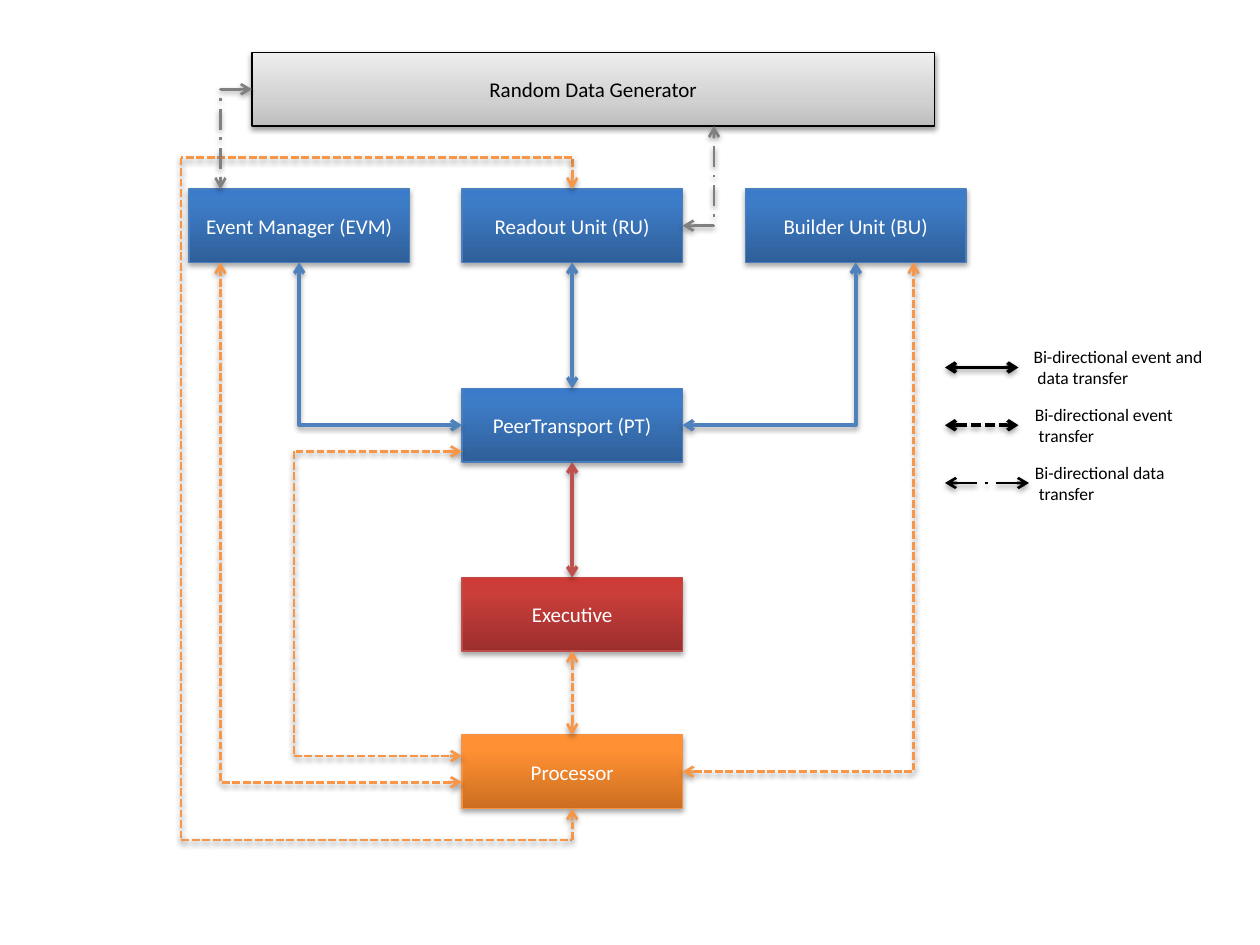
from copy import deepcopy
from dataclasses import dataclass

from lxml import etree
from pptx import Presentation
from pptx import util as u
from pptx.dml.color import RGBColor
from pptx.enum import dml, shapes, text
from pptx.oxml.ns import qn

PX = 9525  # EMU in one px, 96 px to the inch
FONT = "Calibri"
INK = {
    "black": "000000", "white": "FFFFFF", "gray": "808080",
    "blue": "4F81BD", "red": "C0504D", "orange": "F79646",
    "blue edge": "4B7EBC", "red edge": "BF4C48", "orange edge": "F69240",
}
# Gradient stops from bottom to top: place in percent, colour
FADE = {
    "blue": [(0, "2F5F99"), (80, "3D7CC7"), (100, "3A7CCB")],
    "red": [(0, "9C2F2D"), (80, "CB3E3A"), (100, "CE3B37")],
    "orange": [(0, "CC6E20"), (80, "FF9034"), (100, "FF9136")],
    "gray": [(0, "BDBDBD"), (35, "D1D1D1"), (100, "EEEEEE")],
}
DASH = {
    "event": dml.MSO_LINE.SQUARE_DOT,
    "data": dml.MSO_LINE.LONG_DASH_DOT,
}


@dataclass
class Box:
    label: str
    left: int
    top: int
    fade: str = "blue"
    edge: str = "blue edge"
    width: int = 168
    ink: str = "white"
    height: int = 56


@dataclass
class Wire:
    points: list[tuple[int, int]]
    ink: str
    kind: str = "both"
    weight: float = 2


@dataclass
class Key:
    lines: str
    left: int
    width: int
    wire: Wire


BOXES = [
    Box("Random Data Generator", 192, 40, "gray", "black", 520, "black"),
    Box("Event Manager (EVM)", 144, 144),
    Box("Readout Unit (RU)", 352, 144),
    Box("Builder Unit (BU)", 568, 144),
    Box("PeerTransport (PT)", 352, 296),
    Box("Executive", 352, 440, "red", "red edge"),
    Box("Processor", 352, 560, "orange", "orange edge"),
]

# Three points make an elbow: first across, then up or down
WIRES = [
    Wire([(352, 324), (228, 324), (228, 200)], "blue"),
    Wire([(436, 200), (436, 296)], "blue"),
    Wire([(520, 324), (652, 324), (652, 200)], "blue"),
    Wire([(436, 352), (436, 440)], "red"),
    Wire([(352, 596), (168, 596), (168, 200)], "orange", "event", 1.5),
    Wire([(520, 588), (696, 588), (696, 200)], "orange", "event", 1.5),
    Wire([(436, 144), (436, 120), (138, 120), (138, 640), (436, 640),
          (436, 616)], "orange", "event", 1.5),
    Wire([(436, 496), (436, 560)], "orange", "event", 1.5),
    Wire([(352, 344), (224, 344), (224, 576), (352, 576)],
         "orange", "event", 1.5),
    Wire([(192, 68), (168, 68), (168, 144)], "gray", "data", 1.5),
    Wire([(520, 172), (544, 172), (544, 96)], "gray", "data", 1.5),
]

KEYS = [
    Key("Bi-directional event and\n data transfer", 778, 150,
        Wire([(720, 280), (776, 280)], "black")),
    Key("Bi-directional event\n transfer", 779, 127,
        Wire([(720, 324), (776, 324)], "black", "event")),
    Key("Bi-directional data\n transfer", 779, 120,
        Wire([(720, 368), (784, 368)], "black", "data", 1.5)),
]


def rgb(ink: str) -> RGBColor:
    return RGBColor.from_string(INK[ink])


def px(*sizes: int) -> list[int]:
    return [size * PX for size in sizes]


def cast(props, alpha: int = 38, drop: int = 20000) -> None:
    """Drop a soft shadow straight down."""
    list_ = props.find(qn("a:effectLst"))
    if list_ is None:
        list_ = etree.SubElement(props, qn("a:effectLst"))
    shade = etree.SubElement(list_, qn("a:outerShdw"), blurRad="40000",
                             dist=str(drop), dir="5400000", rotWithShape="0")
    tone = etree.SubElement(shade, qn("a:srgbClr"), val=INK["black"])
    etree.SubElement(tone, qn("a:alpha"), val=str(alpha * 1000))


def write(para, label: str, size: int, ink: str) -> None:
    para.text = label
    para.font.name = FONT
    para.font.size = u.Pt(size)
    para.font.color.rgb = rgb(ink)


def draw_box(slide, box: Box) -> None:
    shape = slide.shapes.add_shape(
        shapes.MSO_SHAPE.FLOWCHART_PROCESS,
        *px(box.left, box.top, box.width, box.height))
    # Three stops, dark end at the bottom
    fill = shape.fill
    fill.gradient()
    fill.gradient_angle = 90
    props = shape.element.spPr
    stops = props.find(qn("a:gradFill")).find(qn("a:gsLst"))
    stops.append(deepcopy(stops[0]))
    for stop, (place, tone) in zip(fill.gradient_stops, FADE[box.fade]):
        stop.position = place / 100
        stop.color.rgb = RGBColor.from_string(tone)
    shape.line.color.rgb = rgb(box.edge)
    shape.line.width = u.Pt(0.75)
    shape.shadow.inherit = False
    if box.fade == "gray":
        cast(props)
    else:
        cast(props, 35, 23000)
    frame = shape.text_frame
    frame.vertical_anchor = text.MSO_ANCHOR.MIDDLE
    para = frame.paragraphs[0]
    para.alignment = text.PP_ALIGN.CENTER
    write(para, box.label, 12, box.ink)


def draw_leg(pen, wire: Wire, start: tuple[int, int], end: tuple[int, int],
             heads: list[str], bent: bool = False) -> None:
    kind = shapes.MSO_CONNECTOR.ELBOW if bent else shapes.MSO_CONNECTOR.STRAIGHT
    leg = pen.add_connector(kind, *px(*start, *end))
    leg.line.color.rgb = rgb(wire.ink)
    leg.line.width = u.Pt(wire.weight)
    if wire.kind in DASH:
        leg.line.dash_style = DASH[wire.kind]
    props = leg.element.spPr
    if bent:
        props.find(qn("a:prstGeom")).set("prst", "bentConnector2")
    for head in heads:
        etree.SubElement(props.find(qn("a:ln")), qn(head), type="arrow")
    cast(props)


def draw_wire(slide, wire: Wire) -> None:
    ends = ["a:headEnd", "a:tailEnd"]
    points = wire.points
    if len(points) <= 3:
        draw_leg(slide.shapes, wire, points[0], points[-1], ends,
                 len(points) == 3)
        return
    # Longer routes are a group of straight legs
    group = slide.shapes.add_group_shape()
    last = len(points) - 2
    for i, (start, end) in enumerate(zip(points, points[1:])):
        heads = ends[:1] if i == 0 else ends[1:] if i == last else []
        draw_leg(group.shapes, wire, start, end, heads)


def draw_key(slide, key: Key) -> None:
    draw_wire(slide, key.wire)
    top = key.wire.points[0][1] - 21
    frame = slide.shapes.add_textbox(
        *px(key.left, top, key.width, 42)).text_frame
    frame.word_wrap = False
    frame.auto_size = text.MSO_AUTO_SIZE.SHAPE_TO_FIT_TEXT
    for i, line in enumerate(key.lines.split("\n")):
        para = frame.add_paragraph() if i else frame.paragraphs[0]
        write(para, line, 10, "black")


def main() -> None:
    deck = Presentation()
    deck.slide_width, deck.slide_height = px(960, 720)
    slide = deck.slides.add_slide(deck.slide_layouts[6])
    for box in BOXES:
        draw_box(slide, box)
    for wire in WIRES:
        draw_wire(slide, wire)
    for key in KEYS:
        draw_key(slide, key)
    deck.save("out.pptx")


if __name__ == "__main__":
    main()
